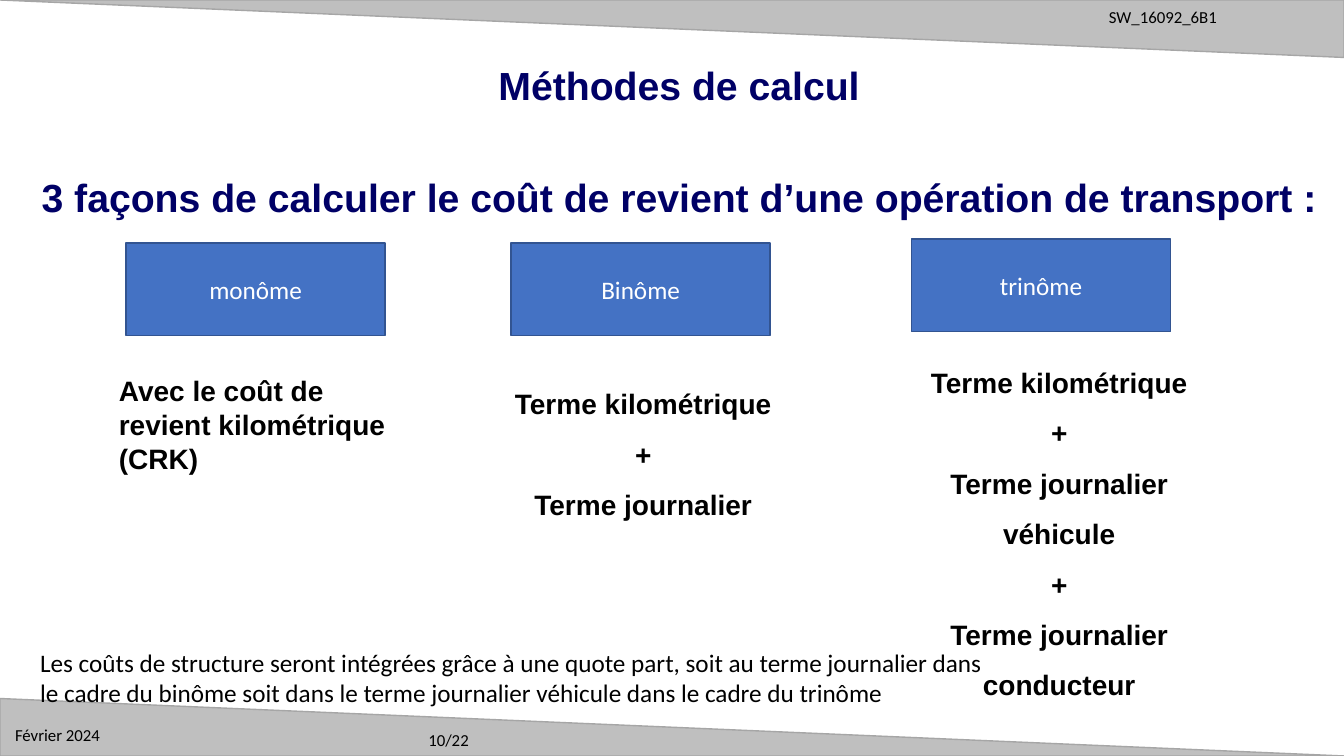
from lxml import etree
from pptx import Presentation
from pptx.dml.color import RGBColor
from pptx.enum.shapes import MSO_SHAPE
from pptx.enum.text import MSO_ANCHOR, PP_ALIGN
from pptx.oxml.ns import qn
from pptx.util import Inches, Pt

TRIANGLE, RECTANGLE = MSO_SHAPE.ISOSCELES_TRIANGLE, MSO_SHAPE.RECTANGLE
LEFT, CENTER = PP_ALIGN.LEFT, PP_ALIGN.CENTER
TOP, MIDDLE = MSO_ANCHOR.TOP, MSO_ANCHOR.MIDDLE
WIDTH, HEIGHT = Inches(13.33), Inches(7.5)
COLORS = {
    "band": "BFBFBF", "band_line": "A6A6A6", "box": "4472C4", "box_line": "325491",
    "heading": "000066", "text": "000000", "box_text": "FFFFFF",
}
BAND_HEIGHT = 7.6
BOX_WIDTH, BOX_HEIGHT = 19.28, 12.27
METHODS = [("monôme", 9.38, 32.13), ("Binôme", 38.03, 32.13), ("trinôme", 67.82, 31.6)]
TERMS = [
    ((35.56, 48.27, 24.6, 21.73), ["Terme kilométrique", "+", "Terme journalier"]),
    ((67.82, 45.47, 21.98, 47.6),
     ["Terme kilométrique +", "Terme journalier véhicule", "+", "Terme journalier conducteur"]),
]
SMALL_TEXTS = [
    ((31.13, 95.87, 10, 4), "10/22"),
    ((81.77, 0.27, 17.93, 4), "SW_16092_6B1"),
    ((0.38, 95.2, 10.35, 4), "Février 2024"),
]
NOTE = ("Les coûts de structure seront intégrées grâce à une quote part, soit au terme "
        "journalier dans le cadre du binôme soit dans le terme journalier véhicule dans "
        "le cadre du trinôme")


def place(area):
    """Turn percentages of the slide into left, top, width and height."""
    return [round(side * share / 100) for side, share in zip((WIDTH, HEIGHT) * 2, area)]


def color(name):
    """Look up a named colour."""
    return RGBColor.from_string(COLORS[name])


def write(shape, lines, size, font="Calibri", ink="text", bold=False,
          align=LEFT, anchor=TOP, spacing=None, wrap=True):
    """Fill a shape with one paragraph per line."""
    frame = shape.text_frame
    frame.word_wrap = wrap
    frame.vertical_anchor = anchor
    frame.text = "\n".join(lines)
    for paragraph in frame.paragraphs:
        paragraph.alignment = align
        paragraph.line_spacing = spacing
        paragraph.font.name = font
        paragraph.font.size = Pt(size)
        paragraph.font.bold = bold
        paragraph.font.color.rgb = color(ink)


def add_text(slide, area, lines, size, **style):
    """Add a text box and return it."""
    box = slide.shapes.add_textbox(*place(area))
    write(box, lines, size, **style)
    return box


def add_filled(slide, kind, area, name):
    """Add an outlined shape in a named fill and its matching line."""
    shape = slide.shapes.add_shape(kind, *place(area))
    shape.shadow.inherit = False
    shape.fill.solid()
    shape.fill.fore_color.rgb = color(name)
    shape.line.color.rgb = color(name + "_line")
    shape.line.width = Pt(1)
    return shape


def add_band(slide, top, rotation):
    """Add a slanted band across the slide."""
    band = add_filled(slide, TRIANGLE, (0, top, 100, BAND_HEIGHT), "band")
    band.adjustments[0] = 0
    band.rotation = rotation


def add_bullet(paragraph, indent):
    """Give a paragraph a hanging bullet."""
    properties = paragraph._p.get_or_add_pPr()
    properties.set("marL", str(indent))
    properties.set("indent", str(-indent))
    etree.SubElement(properties, qn("a:buFont")).set("typeface", "Arial")
    etree.SubElement(properties, qn("a:buChar")).set("char", "•")


def add_crk(slide):
    """Add the bulleted text of the first method."""
    box = slide.shapes.add_textbox(*place((8.1, 48.8, 23.26, 19.33)))
    add_bullet(box.text_frame.paragraphs[0], Inches(0.5))
    write(box, ["Avec le coût de revient kilométrique (CRK)"], 20, font="Arial", bold=True)


def main():
    """Build the slide and save it."""
    presentation = Presentation()
    presentation.slide_width, presentation.slide_height = WIDTH, HEIGHT
    slide = presentation.slides.add_slide(presentation.slide_layouts[6])
    add_band(slide, 0, 180)
    add_band(slide, 100 - BAND_HEIGHT, 0)
    for area, text in SMALL_TEXTS:
        add_text(slide, area, [text], 12)
    heading = {"font": "Arial", "ink": "heading", "bold": True, "align": CENTER}
    add_text(slide, (36.16, 7.47, 28.73, 7.6), ["Méthodes de calcul"], 28,
             anchor=MIDDLE, wrap=False, **heading)
    add_text(slide, (1.05, 22.27, 98.95, 7.6),
             ["3 façons de calculer le coût de revient d’une opération de transport :"],
             28, **heading)
    add_crk(slide)
    for area, lines in TERMS:
        add_text(slide, area, lines, 20, font="Arial", bold=True, align=CENTER, spacing=1.5)
    add_text(slide, (2.25, 84.93, 71.57, 9.47), [NOTE], 18)
    for name, left, top in METHODS:
        box = add_filled(slide, RECTANGLE, (left, top, BOX_WIDTH, BOX_HEIGHT), "box")
        write(box, [name], 18, ink="box_text", align=CENTER, anchor=MIDDLE)
    presentation.save("out.pptx")


if __name__ == "__main__":
    main()
